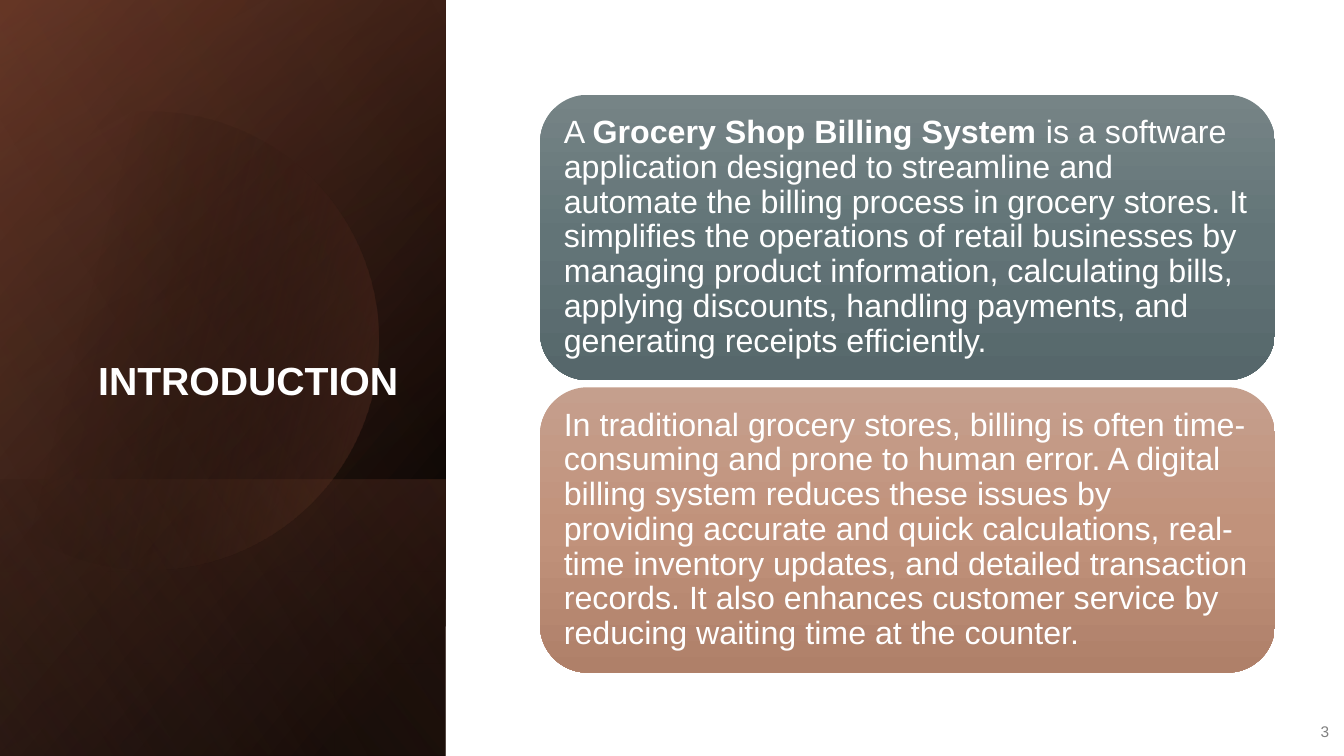
from math import cos, radians, sin

from pptx import Presentation
from pptx.enum.shapes import MSO_SHAPE as SHAPE
from pptx.enum.text import MSO_ANCHOR as ANCHOR, MSO_AUTO_SIZE as FIT, PP_ALIGN as ALIGN
from pptx.dml.color import RGBColor as RGB
from pptx.oxml import parse_xml
from pptx.oxml.ns import nsdecls, qn
from pptx.util import Cm, Pt

COLORS = {
    "white": "FFFFFF", "black": "000000", "grey": "808080",
    "brown": "582F21", "rust": "753F2C", "copper": "C68067",
    "slate_light": "768486", "slate": "627477", "slate_dark": "56676B",
    "clay_light": "C59F8D", "clay": "C1927B", "clay_dark": "AF8069",
}
PANEL_W, PANEL_H, BAND_H = 11.23, 19.05, 6.96
PANEL_LAYERS = [
    (PANEL_H, 50, [(8, "black", 100), (100, "brown", 100)]),
    (PANEL_H, 30, [(0, "black", 0), (99, "rust", 46)]),
    (BAND_H, 130, [(2, "rust", 29), (100, "black", 30)]),
]
DISC = (14, [(29, "black", 0), (100, "rust", 43)])
GLOW = (PANEL_H, 120, [(0, "black", 0), (99, "copper", 11)])
CARD_X, CARD_Y, CARD_W, CARD_H, CARD_STEP = 13.61, 2.39, 18.52, 7.19, 7.37
CARDS = [
    ("slate", [
        ("A ", False),
        ("Grocery Shop Billing System", True),
        (" is a software application designed to streamline and automate the billing "
         "process in grocery stores. It simplifies the operations of retail businesses "
         "by managing product information, calculating bills, applying discounts, "
         "handling payments, and generating receipts efficiently.", False),
    ]),
    ("clay", [
        ("In traditional grocery stores, billing is often time-consuming and prone to "
         "human error. A digital billing system reduces these issues by providing "
         "accurate and quick calculations, real-time inventory updates, and detailed "
         "transaction records. It also enhances customer service by reducing waiting "
         "time at the counter.", False),
    ]),
]


class Deck:
    """Holds the style and the current slide, and draws each kind of element."""

    font = "Arial"

    def __init__(self, prs):
        """Add a title-only slide to the presentation."""
        self.s = prs.slides.add_slide(prs.slide_layouts[5])

    def gradient(self, sp, angle, stops):
        """Give a shape a linear gradient, no outline and no shadow."""
        sp.shadow.inherit = False
        sp.line.fill.background()
        sp.fill.background()
        gs = "".join(
            f'<a:gs pos="{pos * 1000}"><a:srgbClr val="{COLORS[name]}">'
            f'<a:alpha val="{alpha * 1000}"/></a:srgbClr></a:gs>'
            for pos, name, alpha in stops)
        grad = parse_xml(
            f'<a:gradFill {nsdecls("a")} rotWithShape="1"><a:gsLst>{gs}</a:gsLst>'
            f'<a:lin ang="{angle * 60000}" scaled="0"/></a:gradFill>')
        spPr = sp._element.spPr
        spPr.replace(spPr.find(qn("a:noFill")), grad)

    def text(self, sp, runs, size, color, frame, **para):
        """Fill a shape with one paragraph of (text, bold) runs."""
        tf = sp.text_frame
        for key, value in {"word_wrap": True, "auto_size": FIT.NONE, **frame}.items():
            setattr(tf, key, value)
        p = tf.paragraphs[0]
        for key, value in para.items():
            setattr(p, key, value)
        for words, bold in runs:
            r = p.add_run()
            r.text = words
            for key, value in {"name": self.font, "size": Pt(size), "bold": bold}.items():
                setattr(r.font, key, value)
            r.font.color.rgb = RGB.from_string(COLORS[color])

    def layer(self, height, angle, stops):
        """Draw a turned, mirrored rectangle over the lower part of the panel."""
        shift = (PANEL_W - height) / 2
        sp = self.s.shapes.add_shape(
            SHAPE.RECTANGLE, Cm(shift), Cm(PANEL_H - PANEL_W + shift), Cm(height), Cm(PANEL_W))
        sp.rotation = 90
        sp._element.spPr.find(qn("a:xfrm")).set("flipH", "1")
        self.gradient(sp, angle, stops)

    def disc(self, x, y, radius, angle, stops):
        """Draw a circle whose left side is cut off straight."""
        points = [(x + radius * cos(radians(a)), y + radius * sin(radians(a)))
                  for a in range(-135, 136, 3)]
        builder = self.s.shapes.build_freeform(*map(Cm, points[0]), scale=1.0)
        builder.add_line_segments([(Cm(px), Cm(py)) for px, py in points[1:]], close=True)
        self.gradient(builder.convert_to_shape(), angle, stops)

    def card(self, y, tone, runs):
        """Draw a rounded card with its text."""
        sp = self.s.shapes.add_shape(
            SHAPE.ROUNDED_RECTANGLE, Cm(CARD_X), Cm(y), Cm(CARD_W), Cm(CARD_H))
        self.gradient(sp, 90, [(0, f"{tone}_light", 100), (50, tone, 100),
                               (100, f"{tone}_dark", 100)])
        sides = ("left", "right", "top", "bottom")
        frame = {f"margin_{side}": Cm(0.25) for side in sides}
        self.text(sp, runs, 23, "white", {**frame, "vertical_anchor": ANCHOR.MIDDLE},
                  alignment=ALIGN.LEFT, line_spacing=0.9)

    def title(self, words):
        """Place the title in front of the panel."""
        sp = self.s.shapes.title
        self.s.shapes._spTree.append(sp._element)
        box = {"left": 1.63, "top": 4.67, "width": 8.66, "height": 5.64}
        for key, value in box.items():
            setattr(sp, key, Cm(value))
        self.text(sp, [(words, True)], 28, "white", {"vertical_anchor": ANCHOR.BOTTOM},
                  alignment=ALIGN.RIGHT, line_spacing=0.9)

    def number(self, words):
        """Put the slide number in the lower right corner."""
        sp = self.s.shapes.add_textbox(Cm(32.51), Cm(17.93), Cm(1.24), Cm(1.02))
        self.text(sp, [(words, False)], 11, "grey", {"vertical_anchor": ANCHOR.MIDDLE},
                  alignment=ALIGN.RIGHT, space_after=Pt(6))


def main():
    """Build the slide and save it."""
    prs = Presentation()
    prs.slide_width, prs.slide_height = Cm(33.87), Cm(19.05)
    deck = Deck(prs)
    for layer in PANEL_LAYERS:
        deck.layer(*layer)
    deck.disc(3.78, 8.59, 5.77, *DISC)
    deck.layer(*GLOW)
    deck.title("INTRODUCTION")
    deck.number("3")
    for i, (tone, runs) in enumerate(CARDS):
        deck.card(CARD_Y + i * CARD_STEP, tone, runs)
    prs.save("out.pptx")


if __name__ == "__main__":
    main()
